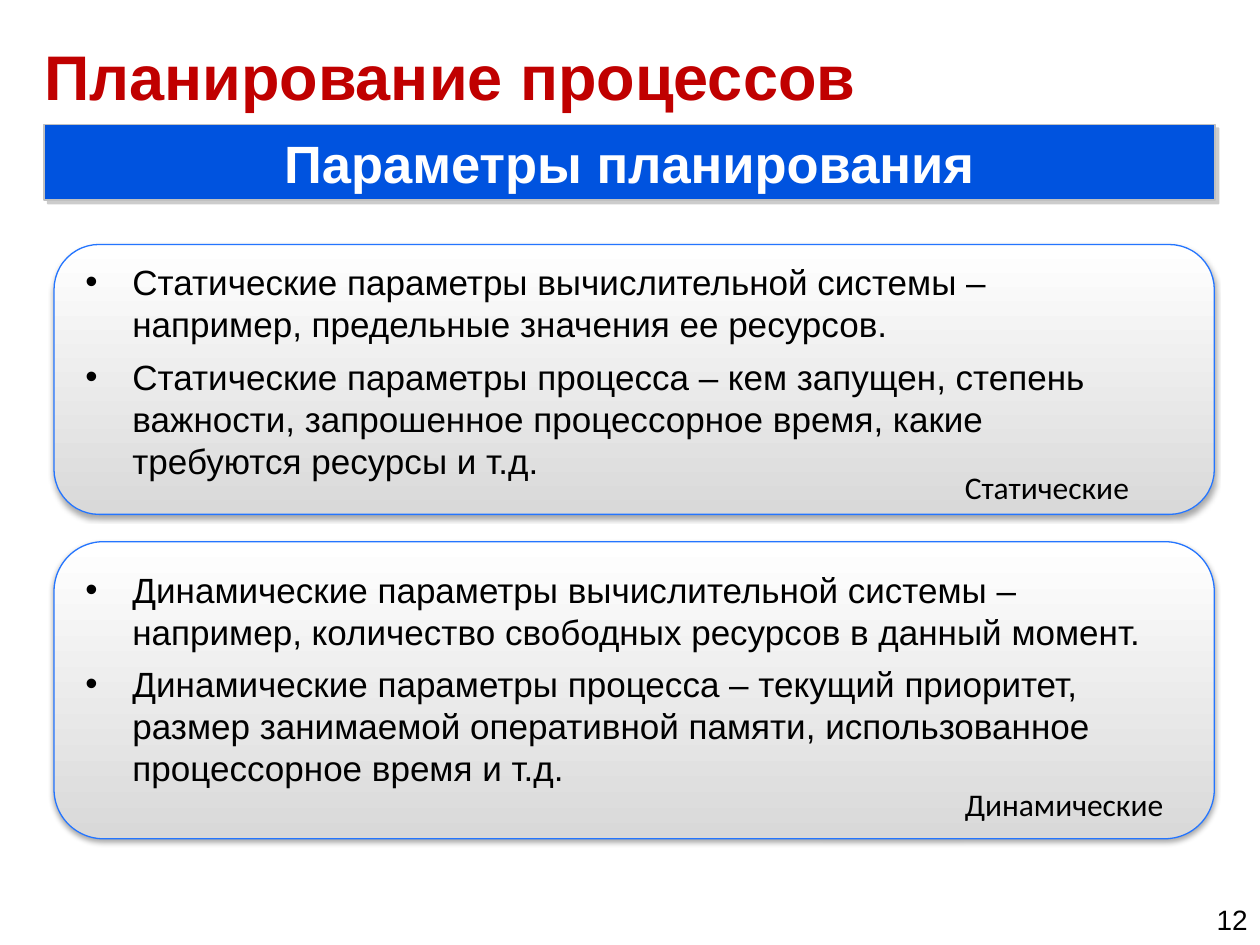
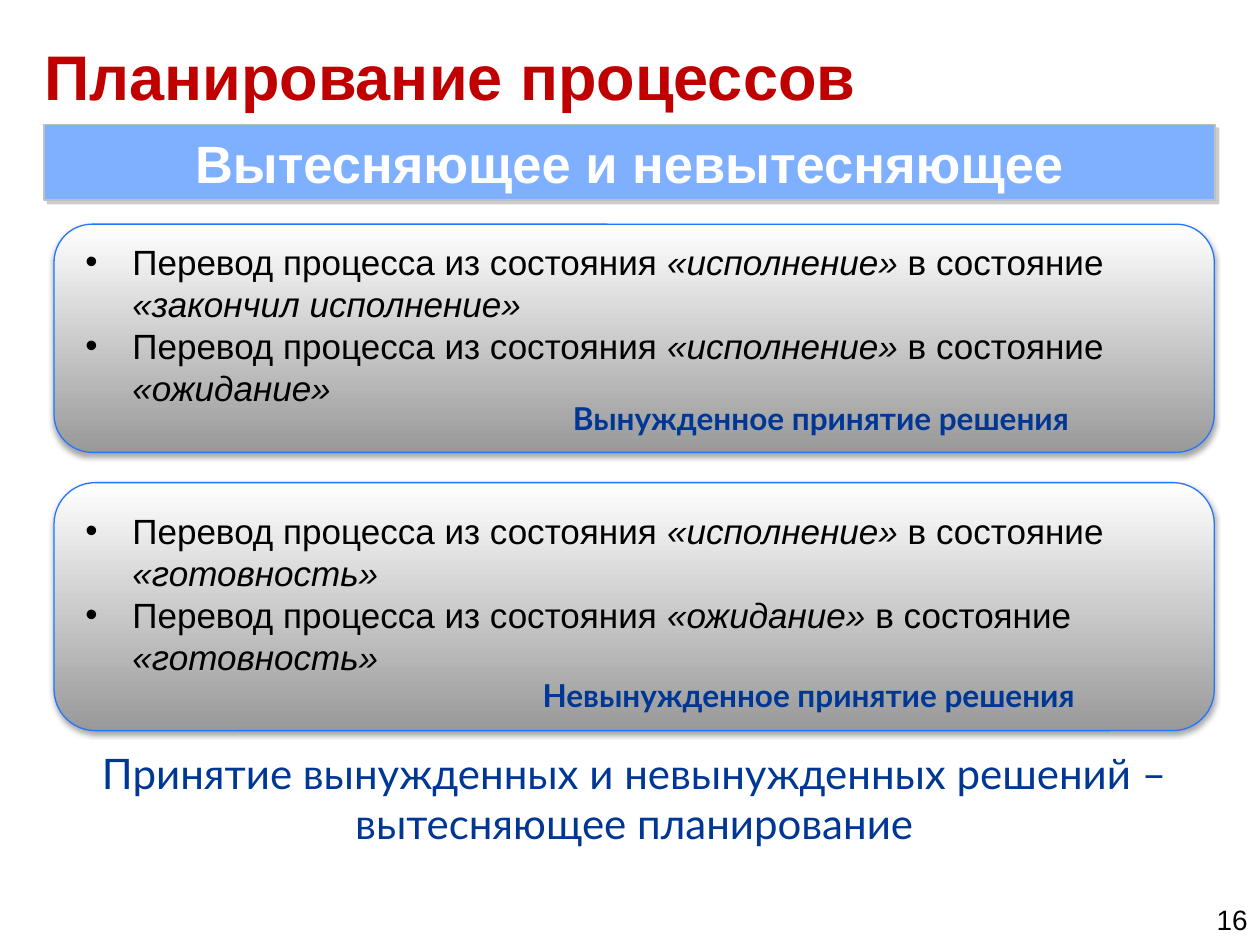
from dataclasses import dataclass
from typing import Optional

import pptx
import pptx.dml.color
import pptx.enum.dml
import pptx.enum.shapes
import pptx.enum.text
import pptx.oxml.ns
import pptx.util
from lxml import etree
from pptx.util import Cm

RGB = pptx.dml.color.RGBColor
SHAPE = pptx.enum.shapes.MSO_SHAPE
ALIGN = pptx.enum.text.PP_ALIGN
ANCHOR = pptx.enum.text.MSO_ANCHOR
AUTO_SIZE = pptx.enum.text.MSO_AUTO_SIZE
qn = pptx.oxml.ns.qn

COLORS = {
    "title": "C00000",
    "band": "0053DF",
    "band_light": "7FAFFF",
    "band_line": "C0C0C0",
    "band_shadow": "808080",
    "panel_line": "2475FF",
    "gray_light": "D9D9D9",
    "gray_dark": "999999",
    "accent": "003794",
    "white": "FFFFFF",
    "black": "000000",
}
BAND_LEFT, BAND_WIDTH = Cm(0.89), Cm(23.6)
PANEL_LEFT, PANEL_WIDTH = Cm(1.09), Cm(23.39)
HANGING = Cm(0.95)


@dataclass(frozen=True)
class Style:
    size: int
    font: str = "Arial"
    color: str = "black"
    bold: bool = False


TITLE = Style(36, color="title", bold=True)
BAND = Style(30, color="white", bold=True)
BODY = Style(20)
PLAIN_LABEL = Style(18, "Calibri")
ACCENT_LABEL = Style(18, "Lato", "accent", True)
CONCLUSION = Style(24, "Lato", "accent")
NUMBER = Style(16)


@dataclass(frozen=True)
class Shadow:
    color: str
    alpha: int
    blur: float
    distance: float
    angle: int


PANEL_SHADOW = Shadow("black", 35, 3.1, 1.8, 90)
BAND_SHADOW = Shadow("band_shadow", 40, 0, 3, 45)


@dataclass(frozen=True)
class Panel:
    """A rounded panel with bullets and a caption; lengths in cm."""
    top: float
    height: float
    text_offset: float
    text_width: float
    items: tuple[str, ...]
    label: str
    label_left: float
    label_top: float
    label_width: float


@dataclass(frozen=True)
class Page:
    number: int
    heading: str
    band_color: str
    panel_color: str
    label_style: Style
    item_gap: int
    panels: tuple[Panel, ...]
    conclusion: Optional[str] = None


PAGES = (
    Page(12, "Параметры планирования", "band", "gray_light", PLAIN_LABEL, 6, (
        Panel(4.93, 5.44, 0.2, 21.79, (
            "Статические параметры вычислительной системы – например, "
            "предельные значения ее ресурсов.",
            "Статические параметры процесса – кем запущен, степень важности, "
            "запрошенное процессорное время, какие требуются ресурсы и т.д.",
        ), "Статические", 19.2, 9.32, 3.99),
        Panel(10.92, 5.99, 0.41, 22.43, (
            "Динамические параметры вычислительной системы – например, "
            "количество свободных ресурсов в данный момент.",
            "Динамические параметры процесса – текущий приоритет, размер "
            "занимаемой оперативной памяти, использованное процессорное "
            "время и т.д.",
        ), "Динамические", 19.2, 15.7, 4.7),
    )),
    Page(16, "Вытесняющее и невытесняющее", "band_light", "gray_dark",
         ACCENT_LABEL, 0, (
             Panel(4.52, 4.6, 0.2, 21.79, (
                 "Перевод процесса из состояния «исполнение» в состояние "
                 "«закончил исполнение»",
                 "Перевод процесса из состояния «исполнение» в состояние "
                 "«ожидание»",
             ), "Вынужденное принятие решения", 11.3, 7.92, 12.19),
             Panel(9.73, 5, 0.41, 22.43, (
                 "Перевод процесса из состояния «исполнение» в состояние "
                 "«готовность»",
                 "Перевод процесса из состояния «ожидание» в состояние "
                 "«готовность»",
             ), "Невынужденное принятие решения", 10.69, 13.51, 13.41),
         ),
         "Принятие вынужденных и невынужденных решений – "
         "вытесняющее планирование"),
)


def rgb(name: str) -> RGB:
    return RGB.from_string(COLORS[name])


def format_runs(p, style: Style) -> None:
    for r in p.runs:
        r.font.name = style.font
        r.font.size = pptx.util.Pt(style.size)
        r.font.bold = style.bold
        r.font.color.rgb = rgb(style.color)


def set_text(tf, text: str, style: Style, align=ALIGN.LEFT) -> None:
    tf.word_wrap = True
    p = tf.paragraphs[0]
    p.text = text
    p.alignment = align
    format_runs(p, style)


def add_text(s, left, top, width, height, text: str, style: Style,
             align=ALIGN.LEFT):
    tf = s.shapes.add_textbox(left, top, width, height).text_frame
    set_text(tf, text, style, align)
    return tf


def set_line(sp, color: str, width: float) -> None:
    sp.line.color.rgb = rgb(color)
    sp.line.width = pptx.util.Pt(width)


def add_shadow(sp, shadow: Shadow) -> None:
    sp.shadow.inherit = False
    effects = sp.element.spPr.find(qn("a:effectLst"))
    outer = etree.SubElement(
        effects, qn("a:outerShdw"),
        blurRad=str(pptx.util.Pt(shadow.blur)),
        dist=str(pptx.util.Pt(shadow.distance)),
        dir=str(shadow.angle * 60000), algn="ctr", rotWithShape="0")
    color = etree.SubElement(outer, qn("a:srgbClr"), val=COLORS[shadow.color])
    etree.SubElement(color, qn("a:alpha"), val=str(shadow.alpha * 1000))


def add_bullet(p) -> None:
    pPr = p._p.get_or_add_pPr()
    pPr.set("marL", str(HANGING))
    pPr.set("indent", str(-HANGING))
    etree.SubElement(pPr, qn("a:buFont"), typeface="Arial")
    etree.SubElement(pPr, qn("a:buChar"), char="•")


def add_quoted_runs(p, text: str) -> None:
    """Split the text into runs, with the parts in «» in italics."""
    for i, part in enumerate(text.replace("»", "«").split("«")):
        if part:
            r = p.add_run()
            r.text = f"«{part}»" if i % 2 else part
            r.font.italic = bool(i % 2)


def add_title(s) -> None:
    title = s.shapes.title
    title.left, title.top = BAND_LEFT, Cm(0.66)
    title.width, title.height = BAND_WIDTH, Cm(1.73)
    tf = title.text_frame
    tf.margin_left = tf.margin_right = tf.margin_top = tf.margin_bottom = 0
    tf.vertical_anchor = ANCHOR.MIDDLE
    tf.auto_size = AUTO_SIZE.NONE
    set_text(tf, "Планирование процессов", TITLE)


def add_band(s, page: Page) -> None:
    sp = s.shapes.add_shape(SHAPE.RECTANGLE, BAND_LEFT, Cm(2.51),
                            BAND_WIDTH, Cm(1.52))
    sp.fill.solid()
    sp.fill.fore_color.rgb = rgb(page.band_color)
    set_line(sp, "band_line", 1)
    add_shadow(sp, BAND_SHADOW)
    tf = sp.text_frame
    tf.margin_left = tf.margin_right = Cm(0.6)
    tf.margin_top = tf.margin_bottom = Cm(0.1)
    tf.vertical_anchor = ANCHOR.MIDDLE
    set_text(tf, page.heading, BAND, ALIGN.CENTER)


def add_panel(s, page: Page, panel: Panel) -> None:
    sp = s.shapes.add_shape(SHAPE.ROUNDED_RECTANGLE, PANEL_LEFT,
                            Cm(panel.top), PANEL_WIDTH, Cm(panel.height))
    sp.fill.gradient()
    sp.fill.gradient_angle = 270
    for stop, color in zip(sp.fill.gradient_stops,
                           ("white", page.panel_color)):
        stop.color.rgb = rgb(color)
    set_line(sp, "panel_line", 0.75)
    add_shadow(sp, PANEL_SHADOW)

    tf = s.shapes.add_textbox(
        Cm(1.47), Cm(panel.top + panel.text_offset), Cm(panel.text_width),
        Cm(panel.height - 2 * panel.text_offset)).text_frame
    tf.word_wrap = True
    for i, item in enumerate(panel.items):
        p = tf.add_paragraph() if i else tf.paragraphs[0]
        add_bullet(p)
        if i:
            p.space_before = pptx.util.Pt(page.item_gap)
        add_quoted_runs(p, item)
        format_runs(p, BODY)

    add_text(s, Cm(panel.label_left), Cm(panel.label_top),
             Cm(panel.label_width), Cm(1.02), panel.label, page.label_style)


def add_page(prs, page: Page) -> None:
    s = prs.slides.add_slide(prs.slide_layouts.get_by_name("Title Only"))
    add_title(s)
    add_band(s, page)
    for panel in page.panels:
        add_panel(s, page, panel)
    if page.conclusion:
        add_text(s, PANEL_LEFT, Cm(14.94), PANEL_WIDTH, Cm(2.31),
                 page.conclusion, CONCLUSION, ALIGN.CENTER)
    tf = add_text(s, Cm(22.3), Cm(18.03), Cm(3.1), Cm(1.02),
                  str(page.number), NUMBER, ALIGN.RIGHT)
    tf.vertical_anchor = ANCHOR.MIDDLE


def main() -> None:
    prs = pptx.Presentation()
    prs.slide_width, prs.slide_height = Cm(25.4), Cm(19.05)
    for page in PAGES:
        add_page(prs, page)
    prs.save("out.pptx")


if __name__ == "__main__":
    main()
